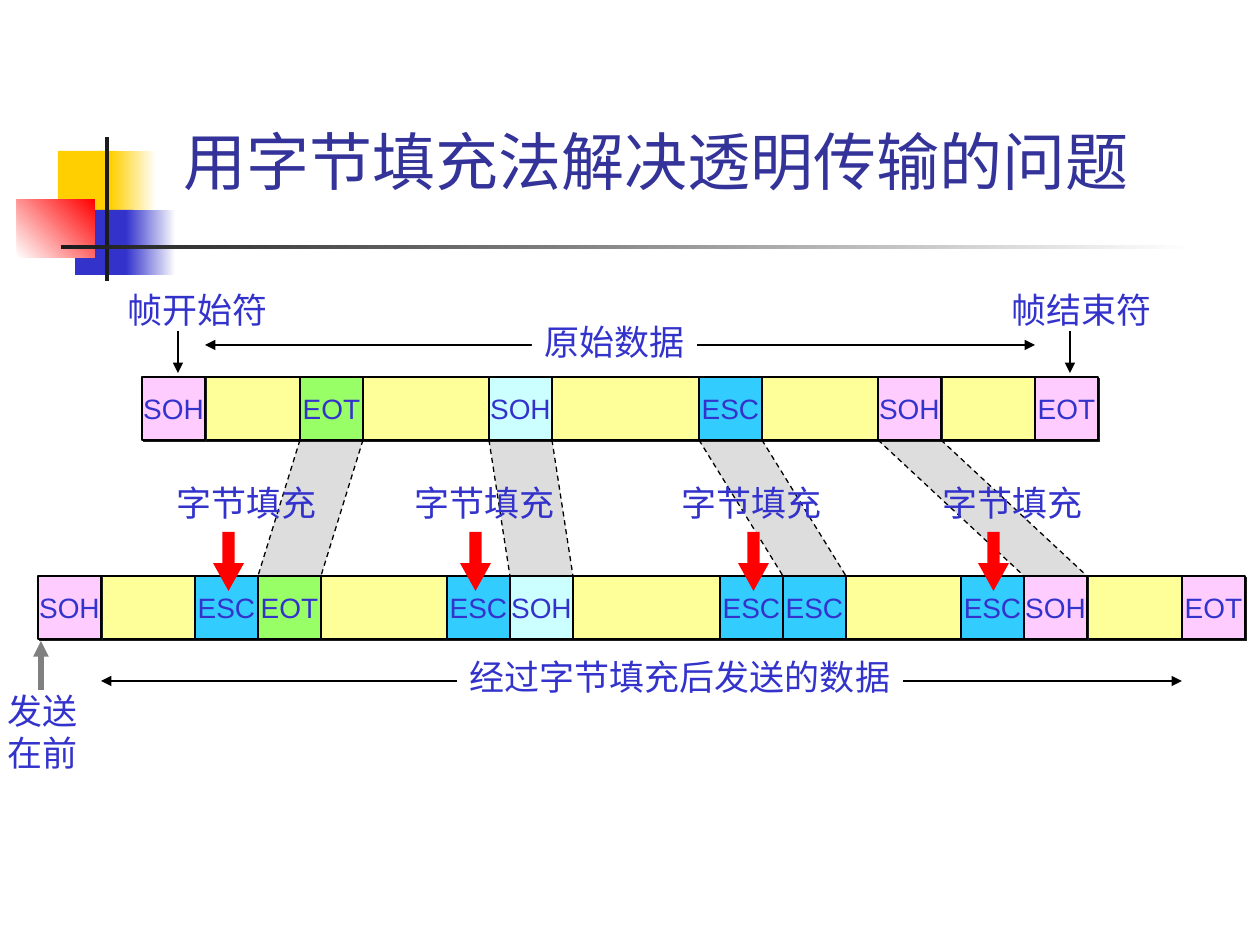
from lxml import etree
from pptx import Presentation
from pptx.dml.color import RGBColor
from pptx.enum.dml import MSO_LINE
from pptx.enum.shapes import MSO_CONNECTOR, MSO_SHAPE
from pptx.enum.text import MSO_ANCHOR, MSO_AUTO_SIZE, PP_ALIGN
from pptx.oxml.ns import qn
from pptx.util import Pt

RECTANGLE, DOWN_ARROW = MSO_SHAPE.RECTANGLE, MSO_SHAPE.DOWN_ARROW
STRAIGHT, DASH = MSO_CONNECTOR.STRAIGHT, MSO_LINE.DASH
CENTER, MIDDLE, BOTTOM = PP_ALIGN.CENTER, MSO_ANCHOR.MIDDLE, MSO_ANCHOR.BOTTOM
PX = 914400 / 126
CELL = 63
INK, PINK, GREEN, CYAN, BLUE, YELLOW = "3333CC", "FFCCFF", "99FF66", "CCFFFF", "33CCFF", "FFFF99"

TITLE = "用字节填充法解决透明传输的问题"
DECORATION = [
    (58, 151, 60, 66, ["FFCF01"], 0),
    (111, 151, 45, 66, ["FFCF01", "FFFFFF"], 0),
    (75, 210, 58, 65, [INK], 0),
    (126, 210, 50, 65, [INK, "FFFFFF"], 0),
    (17, 199, 78, 59, ["FFFFFF", "FF0000"], 45),
    (105, 137, 4, 144, ["1C1C1C"], 0),
    (61, 245, 1134, 4, ["1C1C1C", "FFFFFF"], 0),
]
ORIGINAL_TOP, SENT_TOP = 377, 576
ORIGINAL = [("SOH", 142, PINK), ("EOT", 300, GREEN), ("SOH", 489, CYAN),
            ("ESC", 699, BLUE), ("SOH", 878, PINK), ("EOT", 1035, PINK)]
SENT = [("SOH", 38, PINK), ("ESC", 195, BLUE), ("EOT", 258, GREEN), ("ESC", 447, BLUE),
        ("SOH", 510, CYAN), ("ESC", 720, BLUE), ("ESC", 783, BLUE), ("ESC", 961, BLUE),
        ("SOH", 1024, PINK), ("EOT", 1182, PINK)]
LINKS = [(300, 258), (489, 510), (699, 783), (878, 1024)]
STUFFING = "字节填充"
STUFFING_POSITIONS = [(164, 213), (402, 460), (669, 738), (930, 978)]
SPANS = [("原始数据", 205, 1035, 345, 532, 314, 165),
         ("经过字节填充后发送的数据", 101, 1182, 681, 457, 649, 446)]
MARKERS = [("帧开始符", 115, 178), ("帧结束符", 999, 1070)]
SEND_FIRST = "发送\n在前"


def emu(*lengths):
    return [round(length * PX) for length in lengths]


def color(value):
    return RGBColor.from_string(value)


def paint(shape, value):
    shape.fill.solid()
    shape.fill.fore_color.rgb = color(value)


def write(shape, text, size, value, align=None, anchor=None, wrap=False):
    frame = shape.text_frame
    frame.text = text
    frame.word_wrap = wrap
    frame.auto_size = MSO_AUTO_SIZE.NONE
    if anchor is not None:
        frame.vertical_anchor = anchor
    for paragraph in frame.paragraphs:
        paragraph.alignment = align
        font = paragraph.runs[0].font
        font.name, font.size, font.color.rgb = "Arial", Pt(size), color(value)


def add_block(slide, x, y, width, height, fill, kind=RECTANGLE):
    shape = slide.shapes.add_shape(kind, *emu(x, y, width, height))
    shape.shadow.inherit = False
    shape.line.fill.background()
    paint(shape, fill)
    return shape


def add_framed(slide, x, y, width, fill, shadowed):
    shape = add_block(slide, x, y, width, CELL, fill)
    shape.line.color.rgb = color("000000")
    shape.line.width = Pt(0.75)
    if shadowed:
        effects = shape._element.spPr.find(qn("a:effectLst"))
        shadow = etree.SubElement(effects, qn("a:outerShdw"), dist="17961", dir="2700000")
        etree.SubElement(shadow, qn("a:srgbClr"), val="1C1C1C")
    return shape


def add_row(slide, cells, y):
    left, right = cells[0][1] + CELL, cells[-1][1]
    add_framed(slide, left, y, right - left, YELLOW, True)
    for text, x, fill in cells:
        cell = add_framed(slide, x, y, CELL, fill, fill == PINK)
        write(cell, text, 16, INK, CENTER, MIDDLE)


def add_line(slide, start, end, heads=(), value="000000", width=0.75, dash=None):
    connector = slide.shapes.add_connector(STRAIGHT, *emu(*start, *end))
    connector.line.color.rgb = color(value)
    connector.line.width = Pt(width)
    if dash is not None:
        connector.line.dash_style = dash
    outline = connector.line._get_or_add_ln()
    for head in heads:
        etree.SubElement(outline, qn(f"a:{head}"), type="triangle")
    etree.SubElement(connector._element.spPr, qn("a:effectLst"))


def add_label(slide, text, x, y, width=165, height=55):
    box = slide.shapes.add_textbox(*emu(x, y, width, height))
    write(box, text, 20, INK)
    return box


def add_band(slide, upper, lower):
    top, bottom = ORIGINAL_TOP + CELL, SENT_TOP
    builder = slide.shapes.build_freeform(lower, bottom, scale=PX)
    builder.add_line_segments([(lower + CELL, bottom), (upper + CELL, top), (upper, top)])
    band = builder.convert_to_shape()
    band.shadow.inherit = False
    band.line.fill.background()
    paint(band, "DDDDDD")


def main():
    presentation = Presentation()
    presentation.slide_width, presentation.slide_height = emu(1260, 945)
    slide = presentation.slides.add_slide(presentation.slide_layouts[5])

    for x, y, width, height, colors, angle in DECORATION:
        shape = add_block(slide, x, y, width, height, colors[0])
        if len(colors) > 1:
            shape.fill.gradient()
            shape.fill.gradient_angle = angle
            for stop, value in zip(shape.fill.gradient_stops, colors):
                stop.color.rgb = color(value)

    title = slide.shapes.title
    title.left, title.top, title.width, title.height = emu(153, 29, 1007, 175)
    write(title, TITLE, 36, "333399", CENTER, BOTTOM, True)

    for upper, lower in LINKS:
        add_band(slide, upper, lower)
    add_row(slide, ORIGINAL, ORIGINAL_TOP)
    add_row(slide, SENT, SENT_TOP)
    for upper, lower in LINKS:
        for side in (0, CELL):
            add_line(slide, (upper + side, ORIGINAL_TOP + CELL), (lower + side, SENT_TOP), dash=DASH)

    for text, left, right, y, label_x, label_y, label_width in SPANS:
        add_line(slide, (left, y), (right, y), ("headEnd", "tailEnd"))
        paint(add_label(slide, text, label_x, label_y, label_width), "FFFFFF")
    for text, x, pointer_x in MARKERS:
        add_label(slide, text, x, 282)
        add_line(slide, (pointer_x, 331), (pointer_x, 373), ("tailEnd",))
    for label_x, arrow_x in STUFFING_POSITIONS:
        add_label(slide, STUFFING, label_x, 475)
        arrow = add_block(slide, arrow_x, 532, 31, 59, "FF0000", DOWN_ARROW)
        arrow.adjustments[0], arrow.adjustments[1] = 0.39, 0.9
    add_line(slide, (41, 690), (41, 641), ("tailEnd",), "808080", 3)
    add_label(slide, SEND_FIRST, -5, 683, 95, 97)

    presentation.save("out.pptx")


if __name__ == "__main__":
    main()
